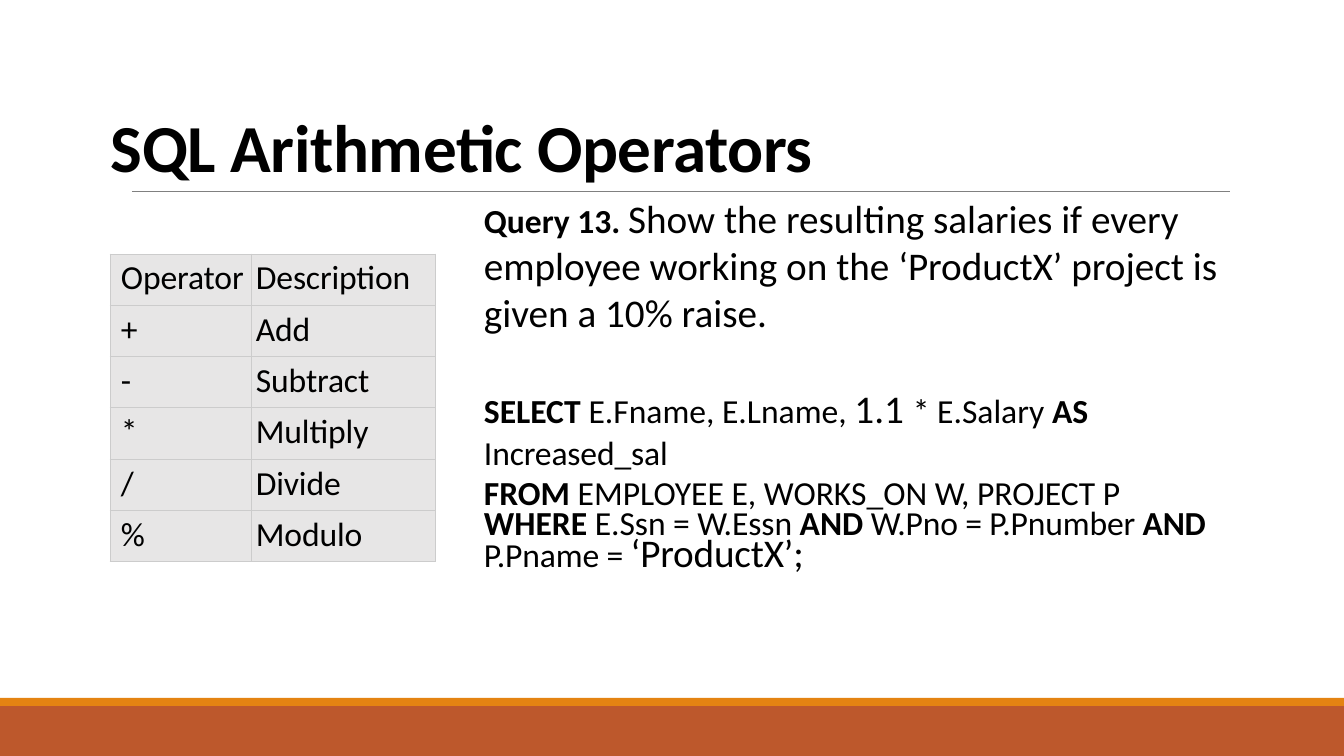
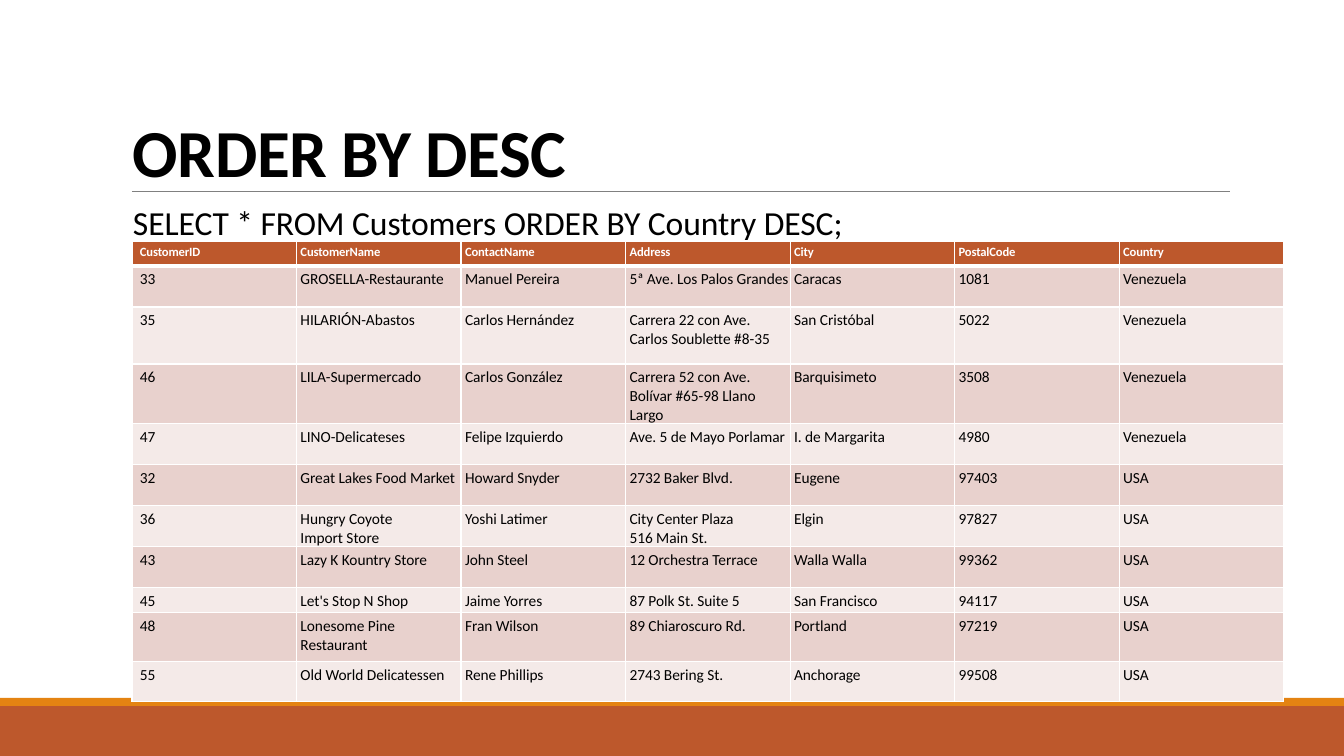
from dataclasses import dataclass
from typing import Any

import pptx
import pptx.dml.color
import pptx.enum.shapes
import pptx.enum.text
import pptx.oxml
import pptx.oxml.ns
import pptx.util

Pt = pptx.util.Pt
RGBColor = pptx.dml.color.RGBColor
Anchor = pptx.enum.text.MSO_ANCHOR

EMU_PER_PX = 914400 / 100.8
SLIDE_W, SLIDE_H = 1344, 756
FONT = "Calibri"

RUST = RGBColor(0xBD, 0x58, 0x2C)
ORANGE = RGBColor(0xE4, 0x83, 0x12)
RULE_GRAY = RGBColor(0x80, 0x80, 0x80)
CELL_GRAY = RGBColor(0xE7, 0xE6, 0xE6)
BORDER_GRAY = RGBColor(0xCC, 0xCC, 0xCC)
ROW_PINK = RGBColor(0xE8, 0xD1, 0xCD)
ROW_PALE = RGBColor(0xF4, 0xEA, 0xE8)
BLACK = RGBColor(0, 0, 0)
WHITE = RGBColor(0xFF, 0xFF, 0xFF)


def px(length: float) -> pptx.util.Emu:
    return pptx.util.Emu(round(length * EMU_PER_PX))


@dataclass(frozen=True)
class Box:
    left: int
    top: int
    width: int
    height: int

    def emu(self) -> tuple:
        return px(self.left), px(self.top), px(self.width), px(self.height)


@dataclass(frozen=True)
class Span:
    """A stretch of text; spacing is in hundredths of a point."""
    text: str
    size: int = 24
    bold: bool = False
    spacing: int = 0
    color: RGBColor = BLACK


@dataclass(frozen=True)
class Line:
    spans: tuple[Span, ...]
    before: float = 0
    spacing: Any = None
    right_indent: int = 0


@dataclass(frozen=True)
class RowStyle:
    fill: RGBColor
    border: RGBColor
    size: int
    color: RGBColor = BLACK
    bold: bool = False
    spacing: int = -5
    top_pt: float = 1
    side_pt: float = 1
    bottom_pt: float = 1


def apply(target: Any, values: dict[str, Any]) -> None:
    for name, value in values.items():
        setattr(target, name, value)


def add_span(paragraph: Any, span: Span) -> None:
    run = paragraph.add_run()
    run.text = span.text
    apply(run.font, {"name": FONT, "size": Pt(span.size), "bold": span.bold})
    run.font.color.rgb = span.color
    run._r.get_or_add_rPr().set("spc", str(span.spacing))


def add_text(slide: Any, box: Box, lines: list[Line], anchor: Any = Anchor.TOP) -> None:
    frame = slide.shapes.add_textbox(*box.emu()).text_frame
    apply(frame, {"word_wrap": True, "vertical_anchor": anchor,
                  "margin_left": px(1), "margin_top": px(1),
                  "margin_right": 0, "margin_bottom": 0})
    for index, line in enumerate(lines):
        paragraph = frame.add_paragraph() if index else frame.paragraphs[0]
        apply(paragraph, {"space_before": Pt(line.before), "line_spacing": line.spacing})
        if line.right_indent:
            paragraph._p.get_or_add_pPr().set("marR", str(px(line.right_indent)))
        for span in line.spans:
            add_span(paragraph, span)


def add_base(deck: Any, title: str, left: int, top: int) -> Any:
    """Add a slide with the footer bands, the rule and its title."""
    slide = deck.slides.add_slide(deck.slide_layouts[6])
    for box, color in ((Box(0, 706, SLIDE_W, 50), RUST), (Box(0, 698, SLIDE_W, 8), ORANGE)):
        band = slide.shapes.add_shape(pptx.enum.shapes.MSO_SHAPE.RECTANGLE, *box.emu())
        band.shadow.inherit = False
        band.fill.solid()
        band.fill.fore_color.rgb = color
        band.line.fill.background()
    rule = slide.shapes.add_connector(
        pptx.enum.shapes.MSO_CONNECTOR.STRAIGHT, px(132), px(191), px(1230), px(191))
    rule.line.color.rgb = RULE_GRAY
    rule.line.width = Pt(0.5)
    rule._element.spPr.append(pptx.oxml.parse_xml(
        f'<a:effectLst {pptx.oxml.ns.nsdecls("a")}/>'))
    add_text(slide, Box(left, top, 750, 82),
             [Line((Span(title, 48, True, -30),))], Anchor.BOTTOM)
    return slide


def set_borders(cell: Any, style: RowStyle) -> None:
    widths = {"L": style.side_pt, "R": style.side_pt, "T": style.top_pt, "B": style.bottom_pt}
    for side, width in widths.items():
        cell._tc.get_or_add_tcPr().append(pptx.oxml.parse_xml(
            f'<a:ln{side} {pptx.oxml.ns.nsdecls("a")} w="{Pt(width)}"><a:solidFill>'
            f'<a:srgbClr val="{style.border}"/></a:solidFill></a:ln{side}>'))


def add_grid(slide: Any, box: Box, rows: list[tuple[str, ...]], styles: list[RowStyle],
             widths: list[float], heights: list[float], indents: tuple[int, int],
             right_insets: dict[str, int]) -> None:
    """Draw a table; indents are for the first column and for the others."""
    table = slide.shapes.add_table(len(rows), len(widths), *box.emu()).table
    apply(table, {"first_row": False, "horz_banding": False})
    for column, width in zip(table.columns, widths):
        column.width = px(width)
    for row, height, texts, style in zip(table.rows, heights, rows, styles):
        row.height = px(height)
        for index, (cell, text) in enumerate(zip(row.cells, texts)):
            apply(cell, {"margin_left": px(indents[min(index, 1)]), "margin_top": px(4),
                         "margin_right": px(right_insets.get(text, 0)), "margin_bottom": 0})
            set_borders(cell, style)
            cell.fill.solid()
            cell.fill.fore_color.rgb = style.fill
            add_span(cell.text_frame.paragraphs[0],
                     Span(text, style.size, style.bold, style.spacing, style.color))


OPERATORS = [
    ("Operator", "Description"),
    ("+", "Add"),
    ("-", "Subtract"),
    ("*", "Multiply"),
    ("/", "Divide"),
    ("%", "Modulo"),
]

QUERY = [
    Line((Span("Query 13. ", bold=True),
          Span("Show the resulting salaries if every employee working on "
               "the ‘ProductX’ project is given a 10% raise.", 28)), right_indent=50),
    Line((Span("SELECT ", bold=True), Span("E.Fname, E.Lname, "), Span("1.1 ", 28),
          Span("* E.Salary "), Span("AS ", bold=True),
          Span("Increased_sal", spacing=-10)), before=35.3),
    Line((Span("FROM ", bold=True), Span("EMPLOYEE E, WORKS_ON W, PROJECT P"))),
    Line((Span("WHERE ", bold=True), Span("E.Ssn = W.Essn ", spacing=-5),
          Span("AND ", bold=True), Span("W.Pno = P.Pnumber ", spacing=-10),
          Span("AND", bold=True, spacing=-20)), spacing=Pt(21.2)),
    Line((Span("P.Pname = ", spacing=-10), Span("‘ProductX’;", 28, spacing=-10)),
         spacing=Pt(23.6)),
]

CUSTOMERS = [
    ("CustomerID", "CustomerName", "ContactName", "Address", "City", "PostalCode", "Country"),
    ("33", "GROSELLA-Restaurante", "Manuel Pereira", "5ª Ave. Los Palos Grandes",
     "Caracas", "1081", "Venezuela"),
    ("35", "HILARIÓN-Abastos", "Carlos Hernández", "Carrera 22 con Ave. Carlos Soublette #8-35",
     "San Cristóbal", "5022", "Venezuela"),
    ("46", "LILA-Supermercado", "Carlos González",
     "Carrera 52 con Ave. Bolívar #65-98 Llano Largo", "Barquisimeto", "3508", "Venezuela"),
    ("47", "LINO-Delicateses", "Felipe Izquierdo", "Ave. 5 de Mayo Porlamar",
     "I. de Margarita", "4980", "Venezuela"),
    ("32", "Great Lakes Food Market", "Howard Snyder", "2732 Baker Blvd.",
     "Eugene", "97403", "USA"),
    ("36", "Hungry Coyote Import Store", "Yoshi Latimer", "City Center Plaza 516 Main St.",
     "Elgin", "97827", "USA"),
    ("43", "Lazy K Kountry Store", "John Steel", "12 Orchestra Terrace",
     "Walla Walla", "99362", "USA"),
    ("45", "Let's Stop N Shop", "Jaime Yorres", "87 Polk St. Suite 5",
     "San Francisco", "94117", "USA"),
    ("48", "Lonesome Pine Restaurant", "Fran Wilson", "89 Chiaroscuro Rd.",
     "Portland", "97219", "USA"),
    ("55", "Old World Delicatessen", "Rene Phillips", "2743 Bering St.",
     "Anchorage", "99508", "USA"),
]
CUSTOMER_HEIGHTS = [25, 41, 57, 57, 41, 41, 41, 41, 25, 49, 40]
WRAP_INSETS = {
    "Carrera 22 con Ave. Carlos Soublette #8-35": 15,
    "Carrera 52 con Ave. Bolívar #65-98 Llano Largo": 15,
    "Hungry Coyote Import Store": 40,
    "City Center Plaza 516 Main St.": 40,
}


def add_arithmetic_slide(deck: Any) -> None:
    slide = add_base(deck, "SQL Arithmetic Operators", 110, 104)
    style = RowStyle(CELL_GRAY, BORDER_GRAY, 24, spacing=-10,
                     top_pt=0.75, side_pt=0.75, bottom_pt=0.75)
    box = Box(110, 254, 326, 308)
    count = len(OPERATORS)
    add_grid(slide, box, OPERATORS, [style] * count, [141, 185],
             [box.height / count] * count, (11, 5), {})
    add_text(slide, Box(483, 193, 826, 347), QUERY)


def add_order_slide(deck: Any) -> None:
    slide = add_base(deck, "ORDER BY DESC", 132, 109)
    add_text(slide, Box(132, 193, 775, 47),
             [Line((Span("SELECT * FROM Customers ORDER BY Country DESC;", spacing=-5),),
                   spacing=1.2)])
    styles = [RowStyle(RUST, WHITE, 9, WHITE, True, -10, bottom_pt=3)]
    for index in range(1, len(CUSTOMERS)):
        styles.append(RowStyle(ROW_PINK if index % 2 else ROW_PALE, WHITE, 11,
                               top_pt=3 if index == 1 else 1))
    box = Box(132, 241, 1152, sum(CUSTOMER_HEIGHTS))
    columns = len(CUSTOMERS[0])
    add_grid(slide, box, CUSTOMERS, styles, [box.width / columns] * columns,
             CUSTOMER_HEIGHTS, (8, 4), WRAP_INSETS)


def main() -> None:
    deck = pptx.Presentation()
    apply(deck, {"slide_width": px(SLIDE_W), "slide_height": px(SLIDE_H)})
    add_arithmetic_slide(deck)
    add_order_slide(deck)
    deck.save("out.pptx")


if __name__ == "__main__":
    main()
